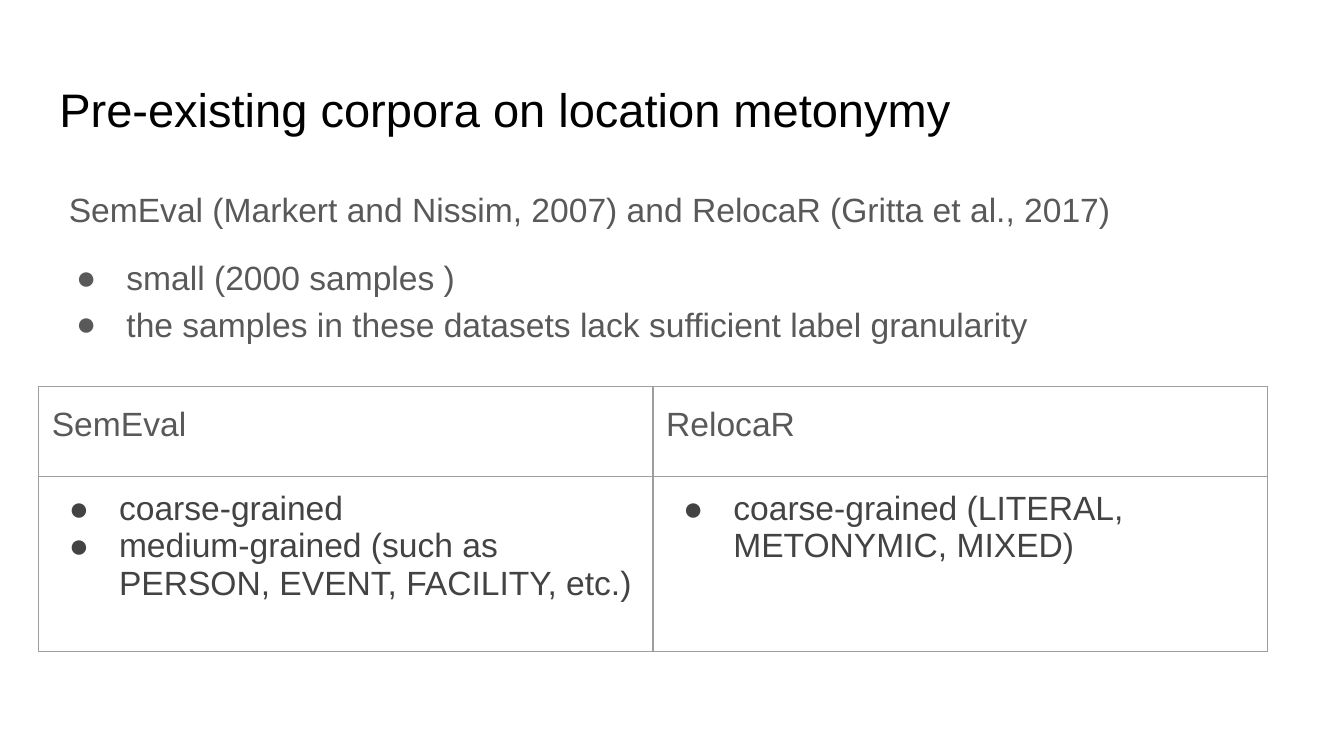
from lxml.etree import SubElement
from pptx import Presentation
from pptx.dml.color import RGBColor
from pptx.enum.text import MSO_ANCHOR as Anchor, MSO_AUTO_SIZE as AutoSize, PP_ALIGN as Align
from pptx.oxml.ns import qn
from pptx.util import Cm, Pt

BLACK, GREY, DARK, BORDER = "000000", "595959", "434343", "9E9E9E"
INSET = Cm(0.25)


def color(hex_string):
    return RGBColor.from_string(hex_string)


class SlideBuilder:
    font = "Arial"
    size = 18
    bullet_left, bullet_hang = Cm(1.27), Cm(0.95)

    def __init__(self, slide):
        self.slide = slide

    def add_text(self, paragraph, text, hex_string, size=None, line=1.0, before=0, after=0):
        paragraph.alignment = Align.LEFT
        paragraph.line_spacing = line
        paragraph.space_before = Pt(before)
        paragraph.space_after = Pt(after)
        run = paragraph.add_run()
        run.text = text
        run.font.name = self.font
        run.font.size = Pt(size or self.size)
        run.font.color.rgb = color(hex_string)

    def indent(self, paragraph, left, first=0):
        properties = paragraph._p.get_or_add_pPr()
        properties.set("marL", str(int(left)))
        properties.set("indent", str(int(first)))
        return properties

    def bullet(self, paragraph, text, hex_string, **spacing):
        self.add_text(paragraph, text, hex_string, **spacing)
        properties = self.indent(paragraph, self.bullet_left, -self.bullet_hang)
        SubElement(SubElement(properties, qn("a:buClr")), qn("a:srgbClr"), val=hex_string)
        SubElement(properties, qn("a:buSzPts"), val=str(self.size * 100))
        SubElement(properties, qn("a:buFont"), typeface=self.font)
        SubElement(properties, qn("a:buChar"), char="●")

    def place(self, shape, left, top, width, height, anchor):
        """Move a placeholder and return its prepared text frame."""
        shape.left, shape.top, shape.width, shape.height = map(Cm, (left, top, width, height))
        frame = shape.text_frame
        frame.auto_size = AutoSize.NONE
        frame.word_wrap = True
        frame.vertical_anchor = anchor
        frame.margin_left = frame.margin_right = INSET
        frame.margin_top = frame.margin_bottom = INSET
        return frame

    def title(self, text, *box):
        frame = self.place(self.slide.shapes.title, *box, Anchor.BOTTOM)
        self.add_text(frame.paragraphs[0], text, BLACK, size=25.2)

    def body(self, lead, items, *box):
        frame = self.place(self.slide.placeholders[1], *box, Anchor.TOP)
        paragraph = frame.paragraphs[0]
        self.add_text(paragraph, lead, GREY, line=1.15)
        SubElement(self.indent(paragraph, Cm(0.18)), qn("a:buNone"))
        for index, item in enumerate(items):
            self.bullet(frame.add_paragraph(), item, GREY, line=1.15,
                        before=0 if index else 12)

    def style_cell(self, cell):
        cell.margin_left = cell.margin_right = INSET
        cell.margin_top = cell.margin_bottom = INSET
        cell.vertical_anchor = Anchor.TOP
        properties = cell._tc.get_or_add_tcPr()
        for side in ("lnL", "lnR", "lnT", "lnB"):
            line = SubElement(properties, qn(f"a:{side}"), w=str(int(Pt(0.75))))
            fill = SubElement(line, qn("a:solidFill"))
            SubElement(fill, qn("a:srgbClr"), val=BORDER)
        cell.fill.background()

    def table(self, columns, left, top, column_width, row_heights):
        """Draw a heading row above one row of bullet lists."""
        table = self.slide.shapes.add_table(
            2, len(columns), Cm(left), Cm(top),
            Cm(column_width * len(columns)), Cm(sum(row_heights))).table
        table.first_row = table.horz_banding = False
        for row, height in zip(table.rows, row_heights):
            row.height = Cm(height)
        for index, (heading, items) in enumerate(columns.items()):
            table.columns[index].width = Cm(column_width)
            head, details = table.cell(0, index), table.cell(1, index)
            self.style_cell(head)
            self.style_cell(details)
            self.add_text(head.text_frame.paragraphs[0], heading, GREY, line=1.15, after=12)
            frame = details.text_frame
            for position, item in enumerate(items):
                paragraph = frame.add_paragraph() if position else frame.paragraphs[0]
                self.bullet(paragraph, item, DARK)


def main():
    presentation = Presentation()
    presentation.slide_width, presentation.slide_height = Cm(25.4), Cm(14.29)
    slide = presentation.slides.add_slide(presentation.slide_layouts[1])
    builder = SlideBuilder(slide)
    builder.title("Pre-existing corpora on location metonymy", 0.87, 1.24, 23.67, 1.6)
    builder.body(
        "SemEval (Markert and Nissim, 2007) and RelocaR (Gritta et al., 2017)",
        ["small (2000 samples )",
         "the samples in these datasets lack sufficient label granularity"],
        0.87, 3.2, 23.67, 3.73)
    builder.table(
        {"SemEval": ["coarse-grained",
                     "medium-grained (such as PERSON, EVENT, FACILITY, etc.)"],
         "RelocaR": ["coarse-grained (LITERAL, METONYMIC, MIXED)"]},
        0.73, 7.31, 11.61, (1.7, 3.3))
    presentation.save("out.pptx")


if __name__ == "__main__":
    main()
